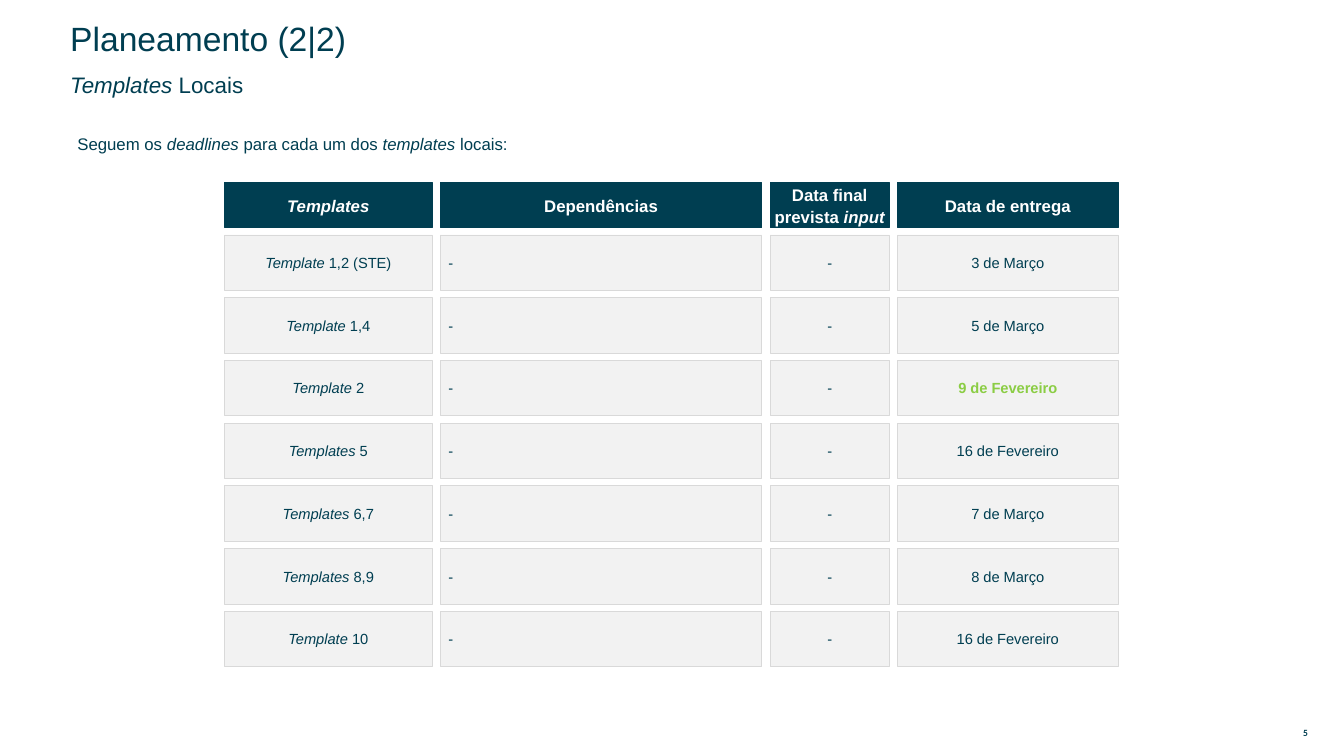
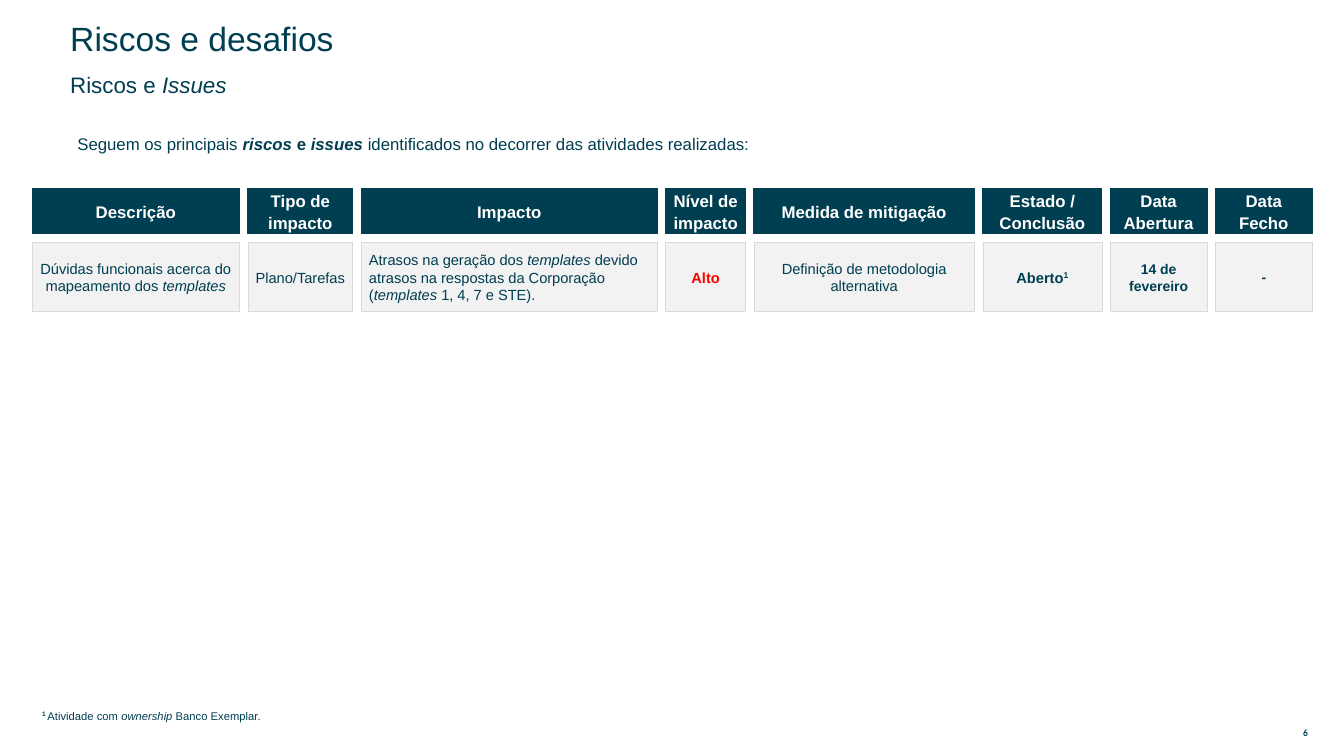
from dataclasses import dataclass

from pptx import Presentation
from pptx.dml.color import RGBColor
from pptx.enum.shapes import MSO_SHAPE
from pptx.enum.text import MSO_ANCHOR, MSO_AUTO_SIZE, PP_ALIGN
from pptx.util import Cm, Pt

NAVY, WHITE, GREEN, RED = "003E51", "FFFFFF", "8BCD44", "FF0000"
CELL_FILL, CELL_LINE = "F2F2F2", "D9D9D9"
TITLE_ONLY = 5
COLUMN_GAP = 0.21
HEADER_HEIGHT = 1.14


@dataclass
class Column:
    heading: object
    width: float
    inset: float = 0.3
    align: PP_ALIGN = PP_ALIGN.CENTER
    size: float = 10.5


def rgb(color):
    return RGBColor.from_string(color)


def write(tf, content, size, color=NAVY, align=PP_ALIGN.LEFT, spacing=1.0,
          font="Arial"):
    """Fill a frame with a string or with (text, flags, colour) runs.

    Flags: b bold, i italic, ^ superscript; the colour may be left out.
    """
    p = tf.paragraphs[0]
    p.alignment = align
    p.line_spacing = spacing
    p.space_before = Pt(0)
    runs = [(content,)] if isinstance(content, str) else content
    for text, *style in runs:
        flags = style[0] if style else ""
        r = p.add_run()
        r.text = text
        r.font.name = font
        r.font.size = Pt(size)
        r.font.bold = "b" in flags
        r.font.italic = "i" in flags
        r.font.color.rgb = rgb(style[1] if len(style) > 1 else color)
        if "^" in flags:
            r._r.get_or_add_rPr().set("baseline", "30000")


def place(sp, left, top, width, height):
    sp.left, sp.top, sp.width, sp.height = map(Cm, (left, top, width, height))


def set_frame(tf, anchor, inset_x=0.25, inset_y=0.13):
    tf.word_wrap = True
    tf.auto_size = MSO_AUTO_SIZE.NONE
    tf.vertical_anchor = anchor
    tf.margin_left = tf.margin_right = Cm(inset_x)
    tf.margin_top = tf.margin_bottom = Cm(inset_y)


def add_text(s, box, content, size, anchor=MSO_ANCHOR.TOP, **style):
    tf = s.shapes.add_textbox(*map(Cm, box)).text_frame
    set_frame(tf, anchor)
    write(tf, content, size, **style)


def add_cell(s, box, content, size, fill, line, line_width, inset, **style):
    sp = s.shapes.add_shape(MSO_SHAPE.RECTANGLE, *map(Cm, box))
    sp.shadow.inherit = False
    sp.fill.solid()
    sp.fill.fore_color.rgb = rgb(fill)
    sp.line.color.rgb = rgb(line)
    sp.line.width = Pt(line_width)
    set_frame(sp.text_frame, MSO_ANCHOR.MIDDLE, inset, 0.1)
    write(sp.text_frame, content, size, **style)


def add_grid(s, left, top, columns, rows, row_height, row_gap):
    """Draw separate header and body cells, column by column."""
    for i, col in enumerate(columns):
        heading = col.heading
        if isinstance(heading, str):
            heading = [(heading, "b")]
        add_cell(s, (left, top, col.width, HEADER_HEIGHT), heading, 12,
                 NAVY, NAVY, 0.75, 0.08, color=WHITE,
                 align=PP_ALIGN.CENTER, spacing=1.1)
        y = top + HEADER_HEIGHT + row_gap
        for row in rows:
            add_cell(s, (left, y, col.width, row_height), row[i], col.size,
                     CELL_FILL, CELL_LINE, 0.5, col.inset, align=col.align)
            y += row_height + row_gap
        left += col.width + COLUMN_GAP


def add_base_slide(prs, number, title, subtitle, intro):
    s = prs.slides.add_slide(prs.slide_layouts[TITLE_ONLY])
    sp = s.shapes.title
    place(sp, 1.52, 0.69, 20.2, 0.66)
    set_frame(sp.text_frame, MSO_ANCHOR.MIDDLE)
    write(sp.text_frame, title, 24, spacing=0.9)
    add_text(s, (1.52, 1.85, 19.46, 0.66), subtitle, 16,
             anchor=MSO_ANCHOR.MIDDLE, spacing=0.9)
    add_text(s, (1.7, 3.23, 30.86, 1.12), intro, 12)
    add_text(s, (32.33, 18.26, 1.14, 0.41), [(str(number), "b")], 6.8,
             anchor=MSO_ANCHOR.MIDDLE, align=PP_ALIGN.CENTER, font="Calibri")
    return s


def add_planning_slide(prs):
    s = add_base_slide(
        prs, 5, "Planeamento (2|2)", [("Templates", "i"), (" Locais",)],
        [("Seguem os ",), ("deadlines", "i"), (" para cada um dos ",),
         ("templates", "i"), (" locais:",)])
    columns = [
        Column([("Templates", "bi")], 5.23, 0.1),
        Column("Dependências", 8.1, 0.2, PP_ALIGN.LEFT),
        Column([("Data final prevista ", "b"), ("input", "bi")], 3),
        Column("Data de entrega", 5.56),
    ]
    deadlines = [
        ("Template", " 1,2 (STE)", "3 de Março"),
        ("Template", " 1,4", "5 de Março"),
        ("Template", " 2", [("9 de Fevereiro", "b", GREEN)]),
        ("Templates", " 5", "16 de Fevereiro"),
        ("Templates", " 6,7", "7 de Março"),
        ("Templates", " 8,9", "8 de Março"),
        ("Template", " 10", "16 de Fevereiro"),
    ]
    rows = [([(word, "i"), (code,)], "-", "-", date)
            for word, code, date in deadlines]
    add_grid(s, 5.66, 4.6, columns, rows, row_height=1.4, row_gap=0.18)


def add_risks_slide(prs):
    s = add_base_slide(
        prs, 6, "Riscos e desafios", [("Riscos e ",), ("Issues", "i")],
        [("Seguem os principais ",), ("riscos ", "bi"), ("e ", "b"),
         ("issues ", "bi"),
         ("identificados no decorrer das atividades realizadas:",)])
    columns = [
        Column("Descrição", 5.23, 0.1),
        Column("Tipo de impacto", 2.64, 0.1),
        Column("Impacto", 7.47, 0.2, PP_ALIGN.LEFT),
        Column("Nível de impacto", 2.01, 0),
        Column("Medida de mitigação", 5.56),
        Column("Estado / Conclusão", 3),
        Column("Data Abertura", 2.44, size=10),
        Column("Data Fecho", 2.44, size=10),
    ]
    risk = (
        [("Dúvidas funcionais acerca do mapeamento dos ",),
         ("templates", "i")],
        "Plano/Tarefas",
        [("Atrasos na geração dos ",), ("templates", "i"),
         (" devido atrasos na respostas da Corporação (",),
         ("templates", "i"), (" 1, 4, 7 e STE).",)],
        [("Alto", "b", RED)],
        "Definição de metodologia alternativa",
        [("Aberto", "b"), ("1", "b^")],
        [("14 de fevereiro", "b")],
        [("-", "b")],
    )
    add_grid(s, 0.81, 4.75, columns, [risk], row_height=1.73, row_gap=0.23)
    add_text(s, (0.81, 17.7, 29.87, 0.64),
             [("1 ", "b^"), ("Atividade com ",), ("ownership", "i"),
              (" Banco Exemplar.",)], 8, spacing=1.1)


def main():
    prs = Presentation()
    prs.slide_width, prs.slide_height = Cm(33.87), Cm(19.05)
    add_planning_slide(prs)
    add_risks_slide(prs)
    prs.save("out.pptx")


if __name__ == "__main__":
    main()
